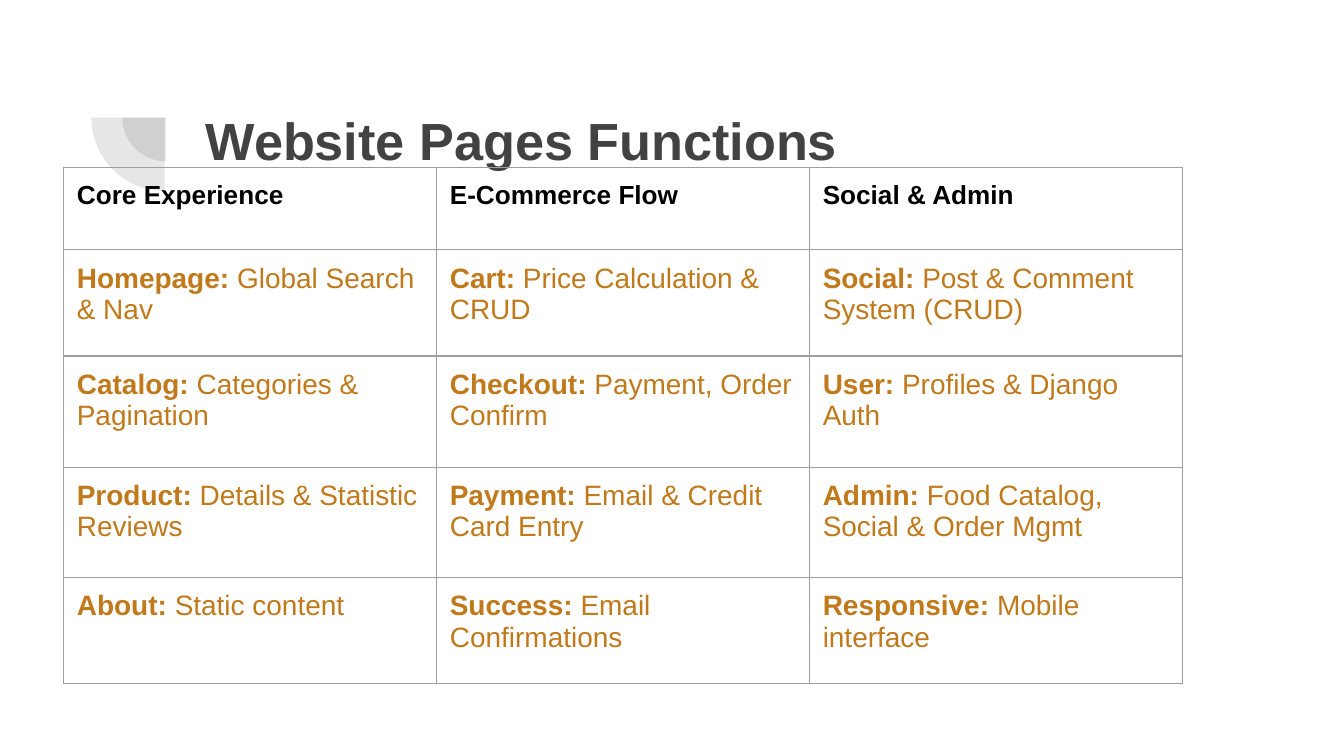
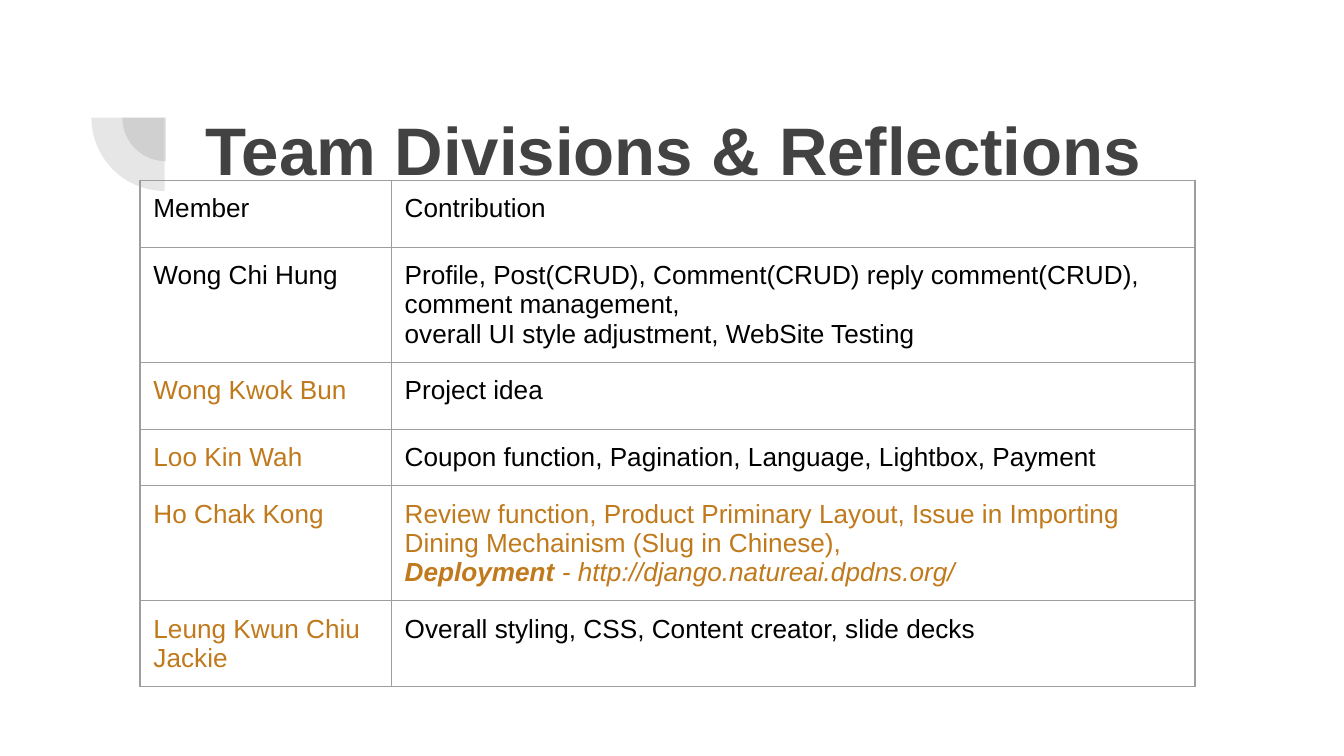
from dataclasses import dataclass

from lxml import etree
from pptx import Presentation
from pptx.dml.color import RGBColor
from pptx.enum.shapes import MSO_SHAPE
from pptx.enum.text import MSO_ANCHOR, MSO_AUTO_SIZE, PP_ALIGN
from pptx.oxml.ns import qn
from pptx.util import Pt

PIE = MSO_SHAPE.PIE
TOP = MSO_ANCHOR.TOP
LEFT = PP_ALIGN.LEFT
FIXED = MSO_AUTO_SIZE.NONE


@dataclass(frozen=True)
class Theme:
    font: str = "Arial"
    gray: str = "424242"
    ink: str = "000000"
    gold: str = "C0791B"
    rule: str = "9E9E9E"
    white: str = "FFFFFF"
    line: float = 0.75
    alpha: int = 13
    inset: float = 7.2
    body: int = 14
    item: int = 15


@dataclass(frozen=True)
class Line:
    lead: str = ""
    rest: str = ""
    slant: bool = False


T = Theme()
TITLE_BOX = (103, 46.8, 553.7, 78.5)
PIES = ((65.5, 39.6, 46.8), (49, 23.8, 78.5))

PAGES = [
    ("Core Experience", "E-Commerce Flow", "Social & Admin"),
    (("Homepage:", " Global Search & Nav"),
     ("Cart:", " Price Calculation & CRUD"),
     ("Social:", " Post & Comment System (CRUD)")),
    (("Catalog:", " Categories & Pagination"),
     ("Checkout:", " Payment, Order Confirm"),
     ("User:", " Profiles & Django Auth")),
    (("Product:", " Details & Statistic Reviews"),
     ("Payment:", " Email & Credit Card Entry"),
     ("Admin:", " Food Catalog, Social & Order Mgmt")),
    (("About:", " Static content"),
     ("Success:", " Email Confirmations"),
     ("Responsive:", " Mobile interface")),
]

TEAM = [
    ("Member", T.ink, ["Contribution"], T.ink),
    ("Wong Chi Hung", T.ink,
     ["Profile, Post(CRUD), Comment(CRUD) reply comment(CRUD),",
      "comment management,",
      "overall UI style adjustment, WebSite Testing"], T.ink),
    ("Wong Kwok Bun", T.gold, ["Project idea"], T.ink),
    ("Loo Kin Wah", T.gold,
     ["Coupon function, Pagination, Language, Lightbox, Payment"], T.ink),
    ("Ho Chak Kong", T.gold,
     ["Review function, Product Priminary Layout, Issue in Importing "
      "Dining Mechainism (Slug in Chinese),",
      Line("Deployment", " - http://django.natureai.dpdns.org/", True)], T.gold),
    ("Leung Kwun Chiu Jackie", T.gold,
     ["Overall styling, CSS, Content creator, slide decks"], T.ink),
]


def style(para, size, color, bold=None, slant=None):
    font = para.font
    font.name = T.font
    font.size = Pt(size)
    font.color.rgb = RGBColor.from_string(color)
    font.bold = bold
    font.italic = slant


def solid(node, color):
    fill = etree.SubElement(node, qn("a:solidFill"))
    etree.SubElement(fill, qn("a:srgbClr"), val=color)


def frame(cell):
    props = cell._tc.get_or_add_tcPr()
    for side in ("lnL", "lnR", "lnT", "lnB"):
        edge = etree.SubElement(props, qn(f"a:{side}"), w=str(Pt(T.line)))
        solid(edge, T.rule)
    cell.fill.background()
    cell.margin_left = cell.margin_right = Pt(T.inset)
    cell.margin_top = cell.margin_bottom = Pt(T.inset)
    cell.vertical_anchor = TOP


def write(cell, lines, size, color):
    text = cell.text_frame
    for i, line in enumerate(lines):
        para = text.add_paragraph() if i else text.paragraphs[0]
        mixed = bool(line.lead and line.rest)
        style(para, size, color, None if mixed else bool(line.lead), line.slant)
        for words, bold in ((line.lead, True), (line.rest, False)):
            if words:
                run = para.add_run()
                run.text = words
                if mixed:
                    run.font.bold = bold


def grid(slide, left, top, cols, rows):
    shape = slide.shapes.add_table(len(rows), len(cols), Pt(left), Pt(top),
                                   Pt(sum(cols)), Pt(sum(rows)))
    table = shape.table
    table.first_row = table.horz_banding = False
    for col, width in zip(table.columns, cols):
        col.width = Pt(width)
    for row, height in zip(table.rows, rows):
        row.height = Pt(height)
    for cell in table.iter_cells():
        frame(cell)
    return table


def badge(slide):
    for left, top, size in PIES:
        pie = slide.shapes.add_shape(PIE, Pt(left), Pt(top), Pt(size), Pt(size))
        pie.rotation = 270
        pie.adjustments[0] = 108
        pie.adjustments[1] = 162
        pie.shadow.inherit = False
        pie.line.fill.background()
        pie.fill.solid()
        pie.fill.fore_color.rgb = RGBColor.from_string(T.gray)
        tone = pie._element.spPr.find(qn("a:solidFill"))[0]
        etree.SubElement(tone, qn("a:alpha"), val=str(T.alpha * 1000))


def head(slide, words, size):
    title = slide.shapes.title
    title.left, title.top, title.width, title.height = map(Pt, TITLE_BOX)
    text = title.text_frame
    text.text = words
    text.auto_size = FIXED
    text.word_wrap = True
    text.vertical_anchor = TOP
    text.margin_left = text.margin_right = text.margin_bottom = Pt(T.inset)
    text.margin_top = Pt(11)
    para = text.paragraphs[0]
    para.alignment = LEFT
    style(para, size, T.gray, True)


def start(deck, words, size):
    slide = deck.slides.add_slide(deck.slide_layouts[5])
    slide.background.fill.solid()
    slide.background.fill.fore_color.rgb = RGBColor.from_string(T.white)
    badge(slide)
    head(slide, words, size)
    return slide


def pages(deck):
    slide = start(deck, "Website Pages Functions", 28)
    table = grid(slide, 34, 89.8, [199.8] * 3, [44, 57, 59.5, 59, 57])
    for r, row in enumerate(PAGES):
        for c, item in enumerate(row):
            if r:
                write(table.cell(r, c), [Line(*item)], T.item, T.gold)
            else:
                write(table.cell(r, c), [Line(item)], T.body, T.ink)


def team(deck):
    slide = start(deck, "Team Divisions & Reflections", 36)
    table = grid(slide, 75, 96.5, [134.6, 430.6], [36, 61.5, 36, 30, 61.5, 45.5])
    for r, (name, tint, jobs, color) in enumerate(TEAM):
        write(table.cell(r, 0), [Line(rest=name)], T.body, tint)
        lines = [Line(rest=j) if isinstance(j, str) else j for j in jobs]
        write(table.cell(r, 1), lines, T.body, color)


def main():
    deck = Presentation()
    deck.slide_width = Pt(720)
    deck.slide_height = Pt(405)
    pages(deck)
    team(deck)
    deck.save("out.pptx")


if __name__ == "__main__":
    main()
